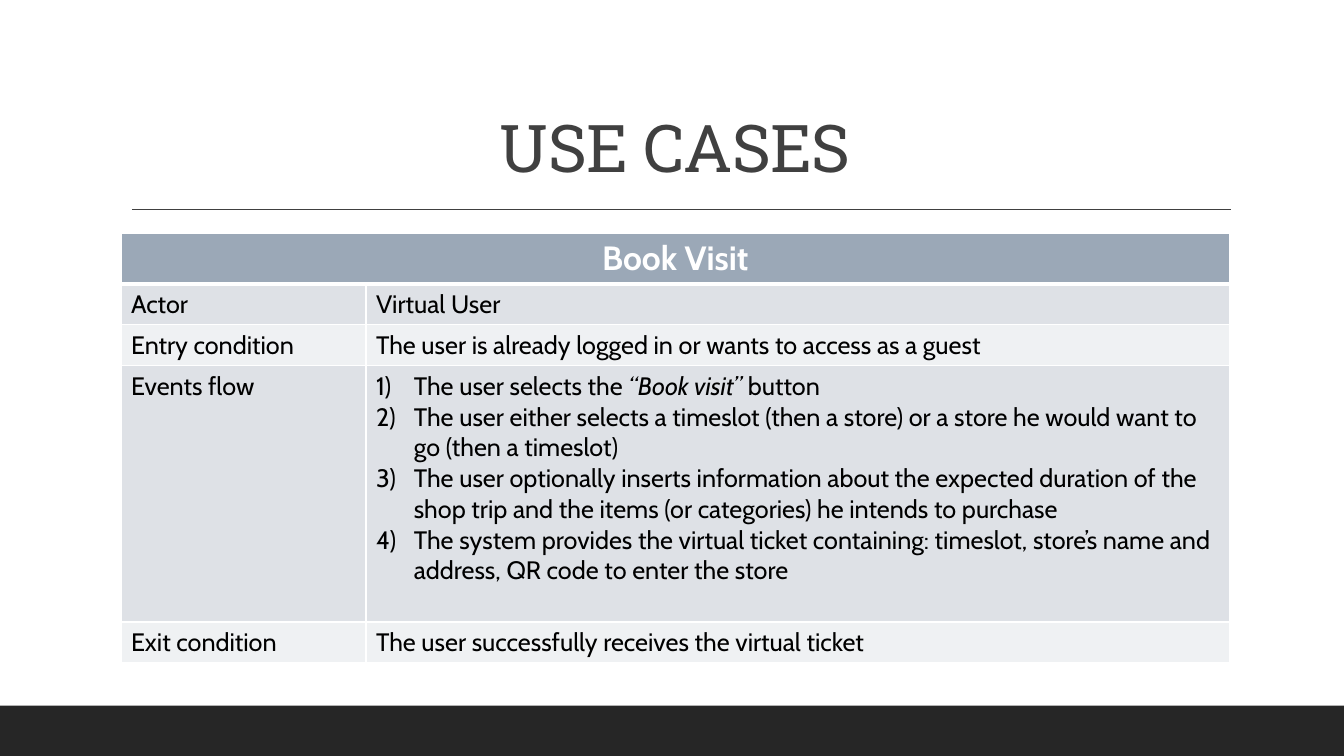
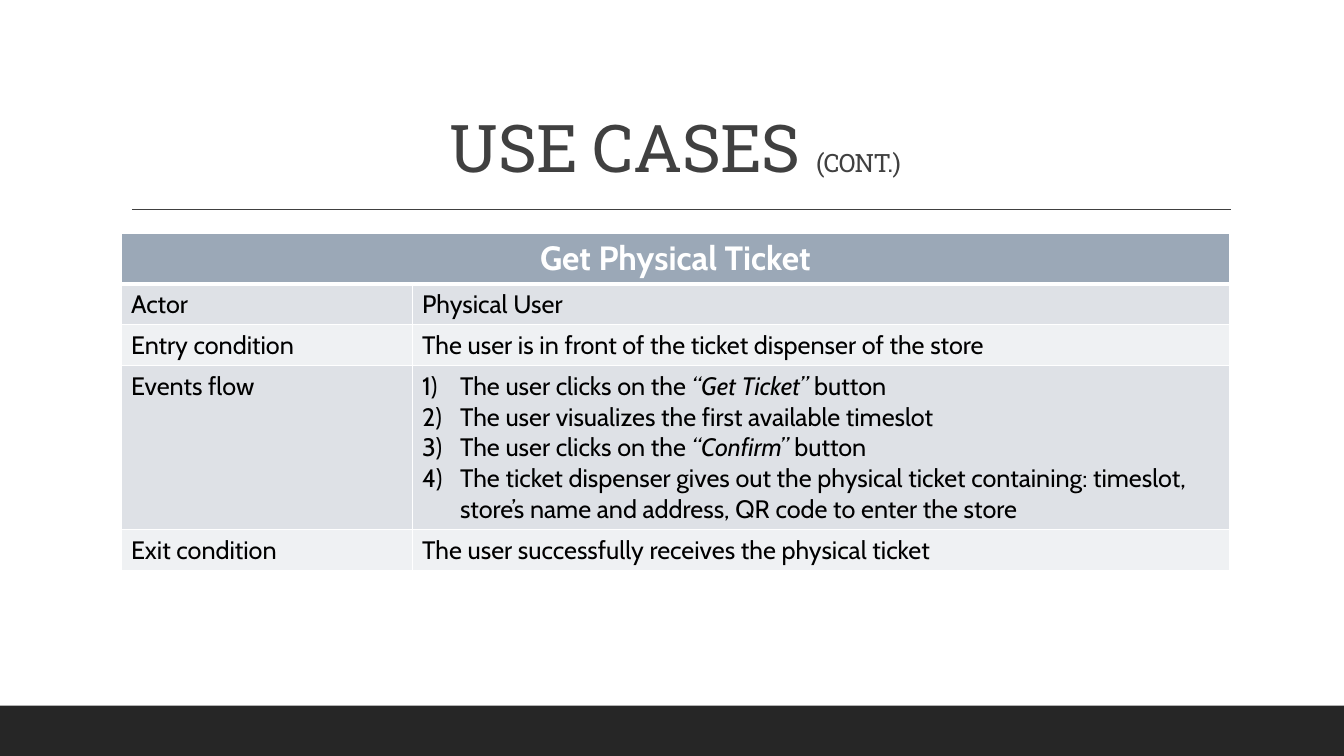
"""Build two use case slides, each with a title and a table."""
import lxml.etree
import pptx
import pptx.dml.color
import pptx.enum.shapes
import pptx.enum.text
import pptx.oxml.ns
import pptx.util

Pt = pptx.util.Pt
qn = pptx.oxml.ns.qn
ALIGN = pptx.enum.text.PP_ALIGN


def color(hex_code):
    return pptx.dml.color.RGBColor.from_string(hex_code)


class UseCaseDeck:
    WIDTH, HEIGHT = 960, 540
    LEFT, CONTENT_WIDTH = 86.4, 792
    TABLE_TOP, HEADER_HEIGHT, ROW_HEIGHT = 166.4, 36, 29.3
    HEADING_FONT, BODY_FONT = "Roboto Slab", "Cabin"
    INK, BAND, WHITE, BLACK = "404040", "262626", "FFFFFF", "000000"
    HEADER_FILL, ROW_FILLS = "9BA8B7", ("DEE1E6", "EFF1F3")
    LIST_INDENT = 27

    def __init__(self):
        self.deck = pptx.Presentation()
        self.deck.slide_width = Pt(self.WIDTH)
        self.deck.slide_height = Pt(self.HEIGHT)
        self.slide = None

    def add_slide(self, title_runs):
        self.slide = self.deck.slides.add_slide(self.deck.slide_layouts[5])
        self.add_band()
        self.add_rule()
        self.set_title(title_runs)

    def add_band(self):
        band = self.slide.shapes.add_shape(
            pptx.enum.shapes.MSO_SHAPE.RECTANGLE,
            Pt(0), Pt(504), Pt(self.WIDTH), Pt(36))
        band.shadow.inherit = False
        band.fill.solid()
        band.fill.fore_color.rgb = color(self.BAND)
        band.line.fill.background()

    def add_rule(self):
        rule = self.slide.shapes.add_connector(
            pptx.enum.shapes.MSO_CONNECTOR.STRAIGHT,
            Pt(94.3), Pt(149.5), Pt(879), Pt(149.5))
        rule.line.color.rgb = color(self.INK)
        rule.line.width = Pt(1)
        lxml.etree.SubElement(rule._element.spPr, qn("a:effectLst"))

    def add_run(self, paragraph, text, size, font, ink, bold=False, italic=False):
        run = paragraph.add_run()
        run.text = text
        run.font.name = font
        run.font.size = Pt(size)
        run.font.bold = bold
        run.font.italic = italic
        run.font.color.rgb = color(ink)
        return run

    def set_title(self, title_runs):
        title = self.slide.shapes.title
        title.left, title.top = Pt(self.LEFT), Pt(22.3)
        title.width, title.height = Pt(self.CONTENT_WIDTH), Pt(114.5)
        frame = title.text_frame
        frame.word_wrap = True
        frame.auto_size = pptx.enum.text.MSO_AUTO_SIZE.NONE
        frame.vertical_anchor = pptx.enum.text.MSO_ANCHOR.BOTTOM
        heading = frame.paragraphs[0]
        heading.alignment = ALIGN.CENTER
        heading.line_spacing = 0.9
        for text, size in title_runs:
            run = self.add_run(heading, text, size, self.HEADING_FONT, self.INK)
            run.font._element.set("spc", "-50")

    def style_cell(self, cell, fill, top=1, bottom=1):
        properties = cell._tc.get_or_add_tcPr()
        for side, width in (("L", 1), ("R", 1), ("T", top), ("B", bottom)):
            border = lxml.etree.SubElement(
                properties, qn(f"a:ln{side}"), w=str(Pt(width)))
            paint = lxml.etree.SubElement(border, qn("a:solidFill"))
            lxml.etree.SubElement(paint, qn("a:srgbClr"), val=self.WHITE)
        cell.fill.solid()
        cell.fill.fore_color.rgb = color(fill)

    def write_text(self, cell, text):
        self.add_run(cell.text_frame.paragraphs[0], text, 18,
                     self.BODY_FONT, self.BLACK)

    def write_steps(self, cell, steps):
        frame = cell.text_frame
        for index, step in enumerate(steps):
            paragraph = frame.add_paragraph() if index else frame.paragraphs[0]
            properties = paragraph._p.get_or_add_pPr()
            properties.set("marL", str(Pt(self.LIST_INDENT)))
            properties.set("indent", str(-Pt(self.LIST_INDENT)))
            lxml.etree.SubElement(properties, qn("a:buFont"), typeface="+mj-lt")
            lxml.etree.SubElement(properties, qn("a:buAutoNum"), type="arabicParenR")
            for position, text in enumerate(step):
                self.add_run(paragraph, text, 18, self.BODY_FONT, self.BLACK,
                             italic=position % 2 == 1)

    def add_use_case(self, name, label_width, events_height,
                     actor, entry, steps, exit_condition):
        heights = [self.HEADER_HEIGHT, self.ROW_HEIGHT, self.ROW_HEIGHT,
                   events_height, self.ROW_HEIGHT]
        table = self.slide.shapes.add_table(
            len(heights), 2, Pt(self.LEFT), Pt(self.TABLE_TOP),
            Pt(self.CONTENT_WIDTH), Pt(sum(heights))).table
        table.horz_banding = False
        table.columns[0].width = Pt(label_width)
        table.columns[1].width = Pt(self.CONTENT_WIDTH - label_width)
        for row, height in zip(table.rows, heights):
            row.height = Pt(height)

        header = table.cell(0, 0)
        header.merge(table.cell(0, 1))
        for cell in table.rows[0].cells:
            self.style_cell(cell, self.HEADER_FILL, bottom=3)
        heading = header.text_frame.paragraphs[0]
        heading.alignment = ALIGN.CENTER
        self.add_run(heading, name, 24, self.BODY_FONT, self.WHITE, bold=True)

        entries = (("Actor", actor), ("Entry condition", entry),
                   ("Events flow", steps), ("Exit condition", exit_condition))
        for number, (label, content) in enumerate(entries, 1):
            label_cell, content_cell = table.rows[number].cells
            for cell in (label_cell, content_cell):
                self.style_cell(cell, self.ROW_FILLS[(number - 1) % 2],
                                top=3 if number == 1 else 1)
            self.write_text(label_cell, label)
            write = self.write_text if isinstance(content, str) else self.write_steps
            write(content_cell, content)


def main():
    deck = UseCaseDeck()
    deck.add_slide([("USE CASES", 47)])
    deck.add_use_case(
        "Book Visit", 175, 183,
        actor="Virtual User",
        entry="The user is already logged in or wants to access as a guest",
        steps=[
            ("The user selects the ", "“Book visit”", " button"),
            ("The user either selects a timeslot (then a store) or a store "
             "he would want to go (then a timeslot)",),
            ("The user optionally inserts information about the expected duration "
             "of the shop trip and the items (or categories) he intends to purchase",),
            ("The system provides the virtual ticket containing: timeslot, "
             "store’s name and address, QR code to enter the store",),
        ],
        exit_condition="The user successfully receives the virtual ticket")

    deck.add_slide([("USE CASES ", 47), ("(CONT.)", 18)])
    deck.add_use_case(
        "Get Physical Ticket", 208, 117,
        actor="Physical User",
        entry="The user is in front of the ticket dispenser of the store",
        steps=[
            ("The user clicks on the ", "“Get Ticket”", " button"),
            ("The user visualizes the first available timeslot",),
            ("The user clicks on the ", "“Confirm”", " button"),
            ("The ticket dispenser gives out the physical ticket containing: "
             "timeslot, store’s name and address, QR code to enter the store",),
        ],
        exit_condition="The user successfully receives the physical ticket")
    deck.deck.save("out.pptx")


if __name__ == "__main__":
    main()
